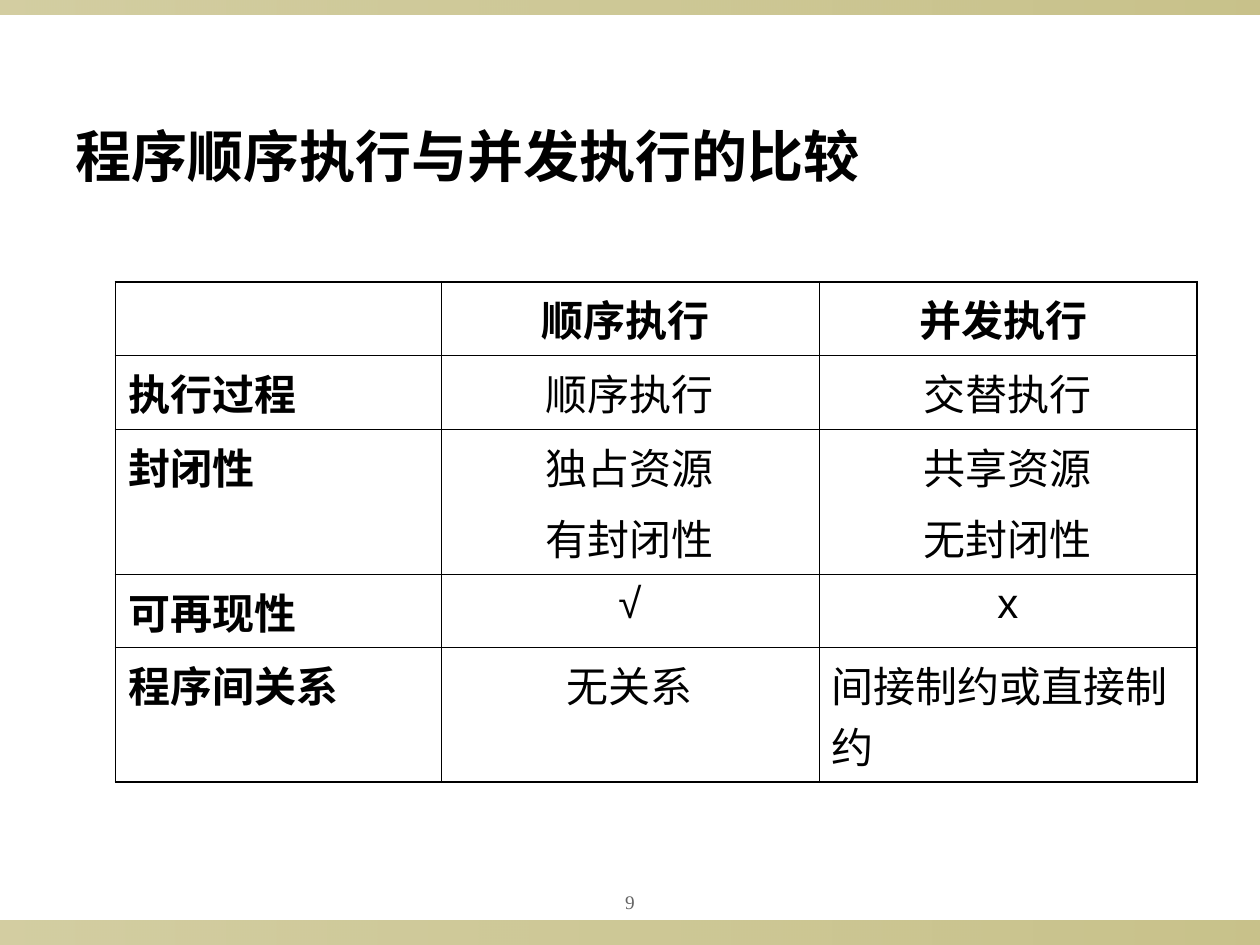
from lxml.etree import SubElement
from pptx import Presentation
from pptx.dml.color import RGBColor
from pptx.enum.shapes import MSO_SHAPE
from pptx.enum.text import MSO_ANCHOR, PP_ALIGN
from pptx.oxml.ns import qn
from pptx.util import Pt

TITLE = "程序顺序执行与并发执行的比较"
PAGE = "9"
ROWS = [
    ["", "顺序执行 ", "并发执行 "],
    ["执行过程", "顺序执行", "交替执行"],
    ["封闭性", "独占资源\n有封闭性", "共享资源\n无封闭性"],
    ["可再现性", "√", "x"],
    ["程序间关系", "无关系", "间接制约或直接制约"],
]
LEFT = {(4, 2)}
WIDTHS = [186, 216, 216]
HEIGHTS = [42.1, 42.1, 82.9, 42, 76.8]
BANDS = [(526, 14), (0, 8.4)]
WIDE, HIGH = 720, 540

THEME = {
    "ink": "000000", "gray": "636363", "band": "918415",
    "fade": [40, 50],
    "title": 32, "cell": 24, "page": 11,
    "outer": 1.08, "inner": 0.45,
    "head": "Lato", "body": "Arial", "foot": "Times New Roman",
}


def put_text(frame, text, size, font, color="ink", bold=False,
             align=PP_ALIGN.LEFT, gap=0):
    frame.word_wrap = True
    for i, line in enumerate(text.split("\n")):
        para = frame.add_paragraph() if i else frame.paragraphs[0]
        para.alignment = align
        if i:
            para.space_before = Pt(gap)
        run = para.add_run()
        run.text = line
        run.font.size = Pt(THEME[size])
        run.font.name = THEME[font]
        run.font.bold = bold
        run.font.color.rgb = RGBColor.from_string(THEME[color])


def add_box(slide, *place):
    return slide.shapes.add_textbox(*map(Pt, place)).text_frame


def add_band(slide, top, height):
    band = slide.shapes.add_shape(
        MSO_SHAPE.RECTANGLE, 0, Pt(top), Pt(WIDE), Pt(height))
    band.shadow.inherit = False
    band.line.fill.background()
    band.fill.gradient()
    band.fill.gradient_angle = 0
    for stop in band.fill.gradient_stops:
        stop.color.rgb = RGBColor.from_string(THEME["band"])
    for tint, fade in zip(band._element.spPr.iter(qn("a:srgbClr")), THEME["fade"]):
        SubElement(tint, qn("a:alpha"), val=str(fade * 1000))


def set_edges(cell, row, col):
    edges = {"L": col == 0, "R": col == len(WIDTHS) - 1,
             "T": row == 0, "B": row == len(ROWS) - 1}
    props = cell._tc.get_or_add_tcPr()
    for side, outer in edges.items():
        width = Pt(THEME["outer" if outer else "inner"])
        line = SubElement(props, qn("a:ln" + side), w=str(int(width)))
        fill = SubElement(line, qn("a:solidFill"))
        SubElement(fill, qn("a:srgbClr"), val=THEME["ink"])
    cell.fill.background()


def add_grid(slide, left, top):
    grid = slide.shapes.add_table(
        len(ROWS), len(WIDTHS), Pt(left), Pt(top),
        Pt(sum(WIDTHS)), Pt(sum(HEIGHTS))).table
    grid.first_row = grid.horz_banding = False
    for col, width in zip(grid.columns, WIDTHS):
        col.width = Pt(width)
    for row, height in zip(grid.rows, HEIGHTS):
        row.height = Pt(height)
    for r, words in enumerate(ROWS):
        for c, word in enumerate(words):
            cell = grid.cell(r, c)
            set_edges(cell, r, c)
            if word:
                flush = c == 0 or (r, c) in LEFT
                put_text(cell.text_frame, word, "cell", "body",
                         bold=r == 0 or c == 0, gap=6,
                         align=PP_ALIGN.LEFT if flush else PP_ALIGN.CENTER)


def main():
    deck = Presentation()
    deck.slide_width, deck.slide_height = Pt(WIDE), Pt(HIGH)
    slide = deck.slides.add_slide(deck.slide_layouts[6])
    for top, height in BANDS:
        add_band(slide, top, height)
    put_text(add_box(slide, 36, 66, 488, 66), TITLE, "title", "head", bold=True)
    add_grid(slide, 66, 161)
    foot = add_box(slide, 324, 504, 72, 22.3)
    foot.vertical_anchor = MSO_ANCHOR.MIDDLE
    foot.margin_left = foot.margin_right = Pt(3.6)
    put_text(foot, PAGE, "page", "foot", color="gray", align=PP_ALIGN.CENTER)
    deck.save("out.pptx")


if __name__ == "__main__":
    main()
